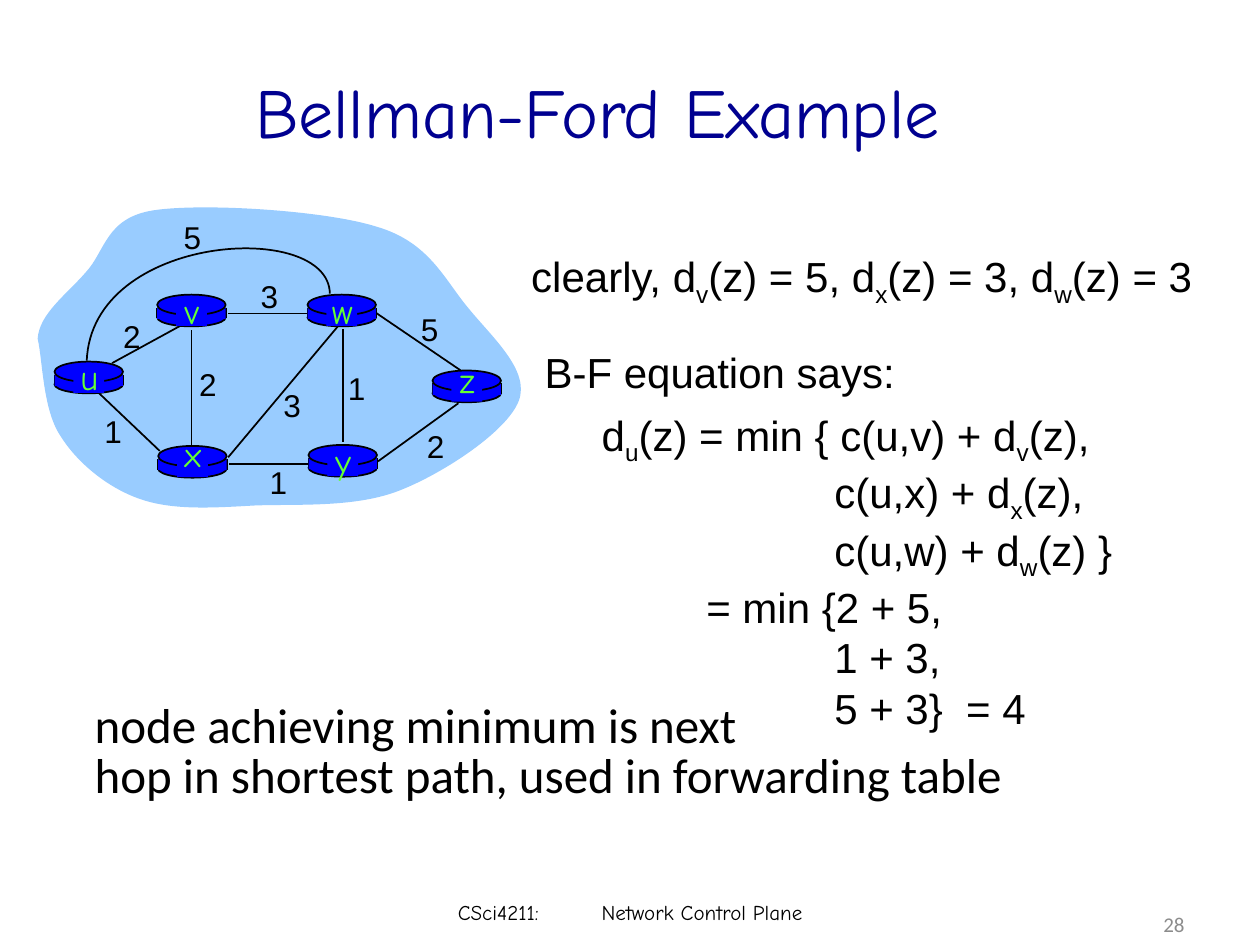
from lxml import etree
from pptx import Presentation, util as u
from pptx.dml.color import RGBColor
from pptx.enum import shapes, text
from pptx.oxml.ns import qn

Cm = u.Cm
C = {"title": "000090", "cloud": "99CCFF", "router": "0000FF", "node": "66FF33",
     "ink": "000000", "page": "8C8C8C"}
LEFT, CENTER, RIGHT = text.PP_ALIGN.LEFT, text.PP_ALIGN.CENTER, text.PP_ALIGN.RIGHT
TOP, MIDDLE = text.MSO_ANCHOR.TOP, text.MSO_ANCHOR.MIDDLE

CLOUD = [
    (0, 2.74), (0.03, 2.24), (0.58, 1.85), (0.97, 1.4), (1.37, 0.97), (1.37, 0.3),
    (2.34, 0.15), (3.33, 0), (5.79, 0.15), (6.83, 0.48), (7.9, 0.79), (8.2, 1.55),
    (8.69, 2.13), (9.17, 2.72), (9.93, 3.38), (9.7, 3.99), (9.47, 4.6), (8.2, 5.44),
    (7.32, 5.79), (6.43, 6.15), (5.26, 6.07), (4.39, 6.1), (3.51, 6.15), (2.72, 6.2),
    (2.06, 5.97), (1.4, 5.74), (0.79, 5.23), (0.46, 4.7), (0.1, 4.17), (0.1, 3.15), (0, 2.74)]
ARC = [(5.89, 1.83), (5.87, 0.33), (1.09, 0.61), (0.99, 3.18)]
ROUTERS = [
    ("u", 0.34, 3.2, -0.25), ("x", 2.43, 4.9, -0.39), ("v", 2.41, 1.85, -0.22),
    ("w", 5.44, 1.85, -0.22), ("y", 5.46, 4.88, -0.23), ("z", 7.96, 3.38, -0.36)]
LINKS = [
    ((1.5, 3.23, 3, 2.41), "2", (1.47, 2.18)),
    ((3.1, 2.57, 3.1, 4.93), "2", (3, 3.15)),
    ((2.46, 5, 1.24, 3.84), "1", (1.09, 4.09)),
    ((3.84, 5.13, 6.05, 2.49), "3", (4.7, 3.56)),
    ((5.46, 5.27, 3.86, 5.27), "1", (4.42, 5.12)),
    ((6.15, 2.54, 6.15, 4.83), "1", (6, 3.23)),
    ((6.86, 5.21, 8.48, 4.04), "2", (7.59, 4.39)),
    ((8.56, 3.4, 6.81, 2.21), "5", (7.47, 2.03)),
    ((5.44, 2.23, 3.84, 2.23), "3", (4.24, 1.37))]
ARC_COST = ("5", (2.69, 0.18))


def color(name):
    return RGBColor.from_string(C[name])


def add_text(s, box, lines, size, font, ink="ink", align=LEFT, anchor=TOP, spacing=None):
    tf = s.shapes.add_textbox(*map(Cm, box)).text_frame
    frame = {"word_wrap": True, "vertical_anchor": anchor}
    if align == CENTER:
        frame.update(margin_left=0, margin_right=0)
    for key, value in frame.items():
        setattr(tf, key, value)
    for i, (line, indent) in enumerate(lines):
        p = tf.add_paragraph() if i else tf.paragraphs[0]
        for key, value in {"alignment": align, "line_spacing": spacing}.items():
            setattr(p, key, value)
        if indent:
            p._p.get_or_add_pPr().set("marL", str(Cm(indent)))
        first, *rest = line.split("_")
        runs = [(first, False)]
        for part in rest:
            runs += [(part[0], True), (part[1:], False)]
        for content, subscript in runs:
            r = p.add_run()
            r.text = content
            for key, value in {"name": font, "size": u.Pt(size)}.items():
                setattr(r.font, key, value)
            r.font.color.rgb = color(ink)
            if subscript:
                r.font._element.set("baseline", "-25000")
    return tf


def paint(sp, fill=None, line=None):
    sp.shadow.inherit = False
    if fill:
        sp.fill.solid()
        sp.fill.fore_color.rgb = color(fill)
    else:
        sp.fill.background()
    if line:
        sp.line.color.rgb = color(line)
        sp.line.width = u.Pt(1)
    else:
        sp.line.fill.background()


def add_preset(s, kind, box, line=None):
    paint(s.shapes.add_shape(kind, *map(Cm, box)), "router", line)


def add_line(s, x1, y1, x2, y2):
    sp = s.shapes.add_connector(shapes.MSO_CONNECTOR.STRAIGHT, *map(Cm, (x1, y1, x2, y2)))
    sp.line.color.rgb = color("ink")
    sp.line.width = u.Pt(1)
    etree.SubElement(sp._element.spPr, qn("a:effectLst"))


def add_curve(s, x, y, points, fill=None, line=None):
    route = [(Cm(x + px), Cm(y + py)) for px, py in points]
    builder = s.shapes.build_freeform(*route[0])
    builder.add_line_segments(route[1:], close=bool(fill))
    sp = builder.convert_to_shape()
    segments = list(sp._element.iter(qn("a:lnTo")))
    for i in range(0, len(segments), 3):
        bezier = etree.Element(qn("a:cubicBezTo"))
        segments[i].addprevious(bezier)
        for segment in segments[i:i + 3]:
            bezier.append(segment[0])
            segment.getparent().remove(segment)
    paint(sp, fill, line)


def add_router(s, x, y, name, lift):
    w = 1.38
    oval, rect = shapes.MSO_SHAPE.OVAL, shapes.MSO_SHAPE.RECTANGLE
    add_preset(s, oval, (x, y + 0.28, w, 0.36), "ink")
    for side in (x, x + w):
        add_line(s, side, y + 0.26, side, y + 0.48)
    add_preset(s, rect, (x, y + 0.26, w, 0.23))
    add_preset(s, oval, (x, y, w, 0.41), "ink")
    add_preset(s, rect, (x + 0.38, y + 0.05, 0.62, 0.58))
    add_text(s, (x + 0.01, y + lift, w, 1.1), [(name, 0)], 20, "Comic Neue", "node", CENTER)


def add_network(s, x, y):
    add_curve(s, x, y, CLOUD, fill="cloud")
    for (x1, y1, x2, y2), _, _ in LINKS:
        add_line(s, x + x1, y + y1, x + x2, y + y2)
    add_curve(s, x, y, ARC, line="ink")
    for name, dx, dy, lift in ROUTERS:
        add_router(s, x + dx, y + dy, name, lift)
    for cost, (dx, dy) in [link[1:] for link in LINKS] + [ARC_COST]:
        add_text(s, (x + dx, y + dy, 0.86, 1.02), [(cost, 0)], 18, "Arial", align=CENTER)


def add_equations(s, x, y):
    add_text(s, (x, y, 14.2, 1.27),
             [("clearly, d_v(z) = 5, d_x(z) = 3, d_w(z) = 3", 0)], 24, "Arial")
    add_text(s, (x + 0.27, y + 1.93, 7.57, 1.27), [("B-F equation says:", 0)], 24, "Arial")
    term, equals = 4.69, 2.11
    add_text(s, (x + 1.42, y + 3.2, 10.85, 6.35), [
        ("d_u(z) = min { c(u,v) + d_v(z),", 0),
        ("c(u,x) + d_x(z),", term),
        ("c(u,w) + d_w(z) }", term),
        ("= min {2 + 5,", equals),
        ("1 + 3,", term),
        ("5 + 3}  = 4", term)], 24, "Arial")


def add_title(s, x, y, w, h):
    add_text(s, (x, y, w, h), [("Bellman-Ford Example", 0)], 40, "Comic Neue",
             "title", CENTER, MIDDLE)


def add_conclusion(s, x, y, w, h):
    add_text(s, (x, y, w, h), [("node achieving minimum is next", 0),
             ("hop in shortest path, used in forwarding table", 0)], 28, "Calibri", spacing=0.85)


def add_footer(s, x, y):
    tf = add_text(s, (x, y, 8.05, 1.02), [("CSci4211:\tNetwork Control Plane", 0)], 12,
                  "Comic Neue", anchor=MIDDLE)
    tabs = etree.SubElement(tf.paragraphs[0]._p.get_or_add_pPr(), qn("a:tabLst"))
    etree.SubElement(tabs, qn("a:tab"), pos=str(Cm(2.9)), algn="l")
    add_text(s, (x + 9.23, y + 0.25, 5.92, 1.02), [("28", 0)], 12, "Calibri", "page",
             RIGHT, MIDDLE)


def main():
    prs = Presentation()
    prs.slide_width, prs.slide_height = Cm(25.4), Cm(19.05)
    s = prs.slides.add_slide(prs.slide_layouts[6])
    add_title(s, 1.25, 1, 21.59, 2.44)
    add_network(s, 0.76, 4.09)
    add_equations(s, 10.46, 4.93)
    add_conclusion(s, 1.66, 14.06, 18.9, 2.29)
    add_footer(s, 8.98, 17.87)
    prs.save("out.pptx")


if __name__ == "__main__":
    main()
